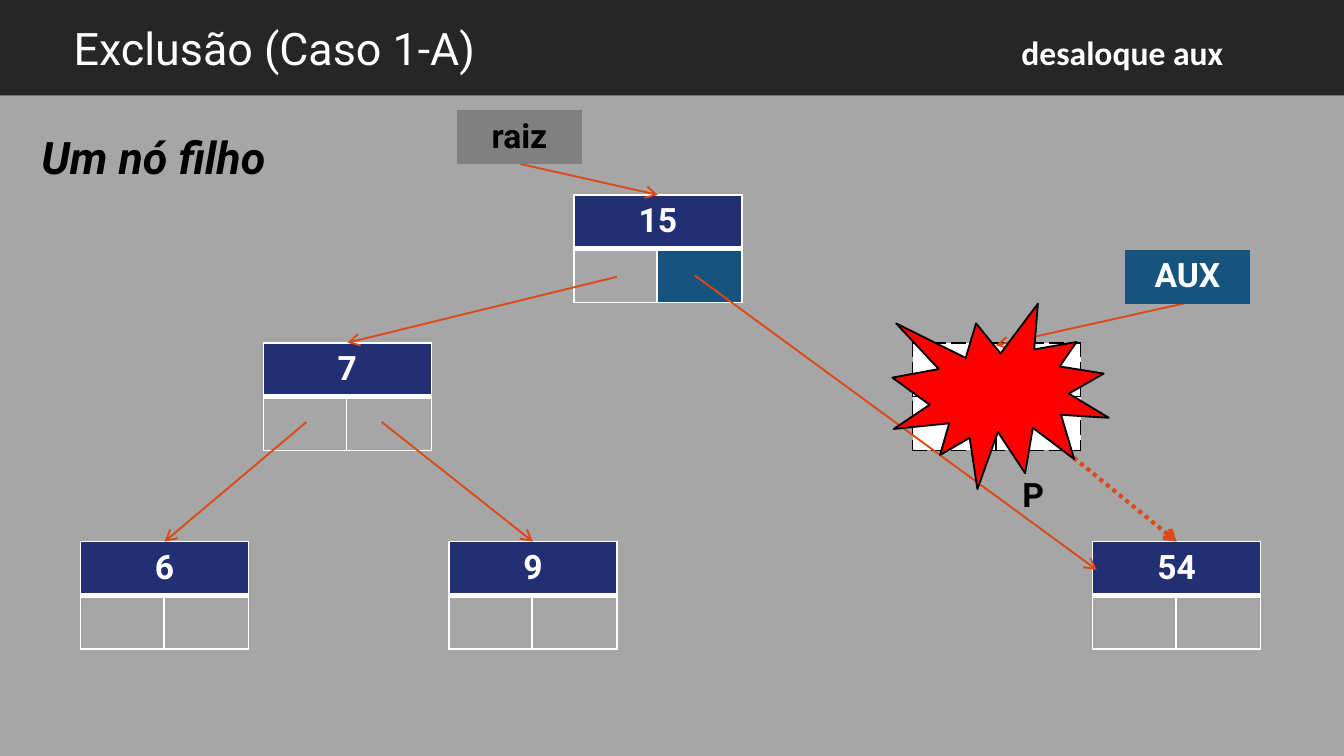
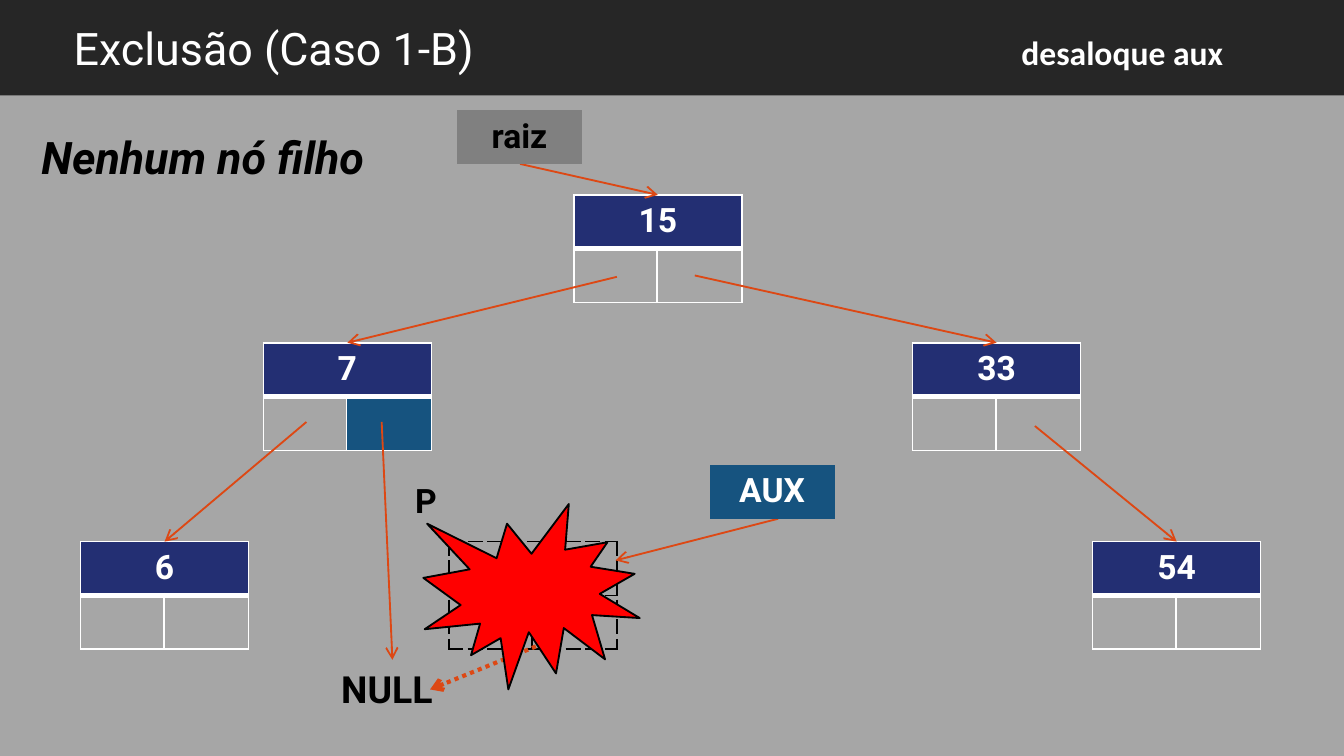
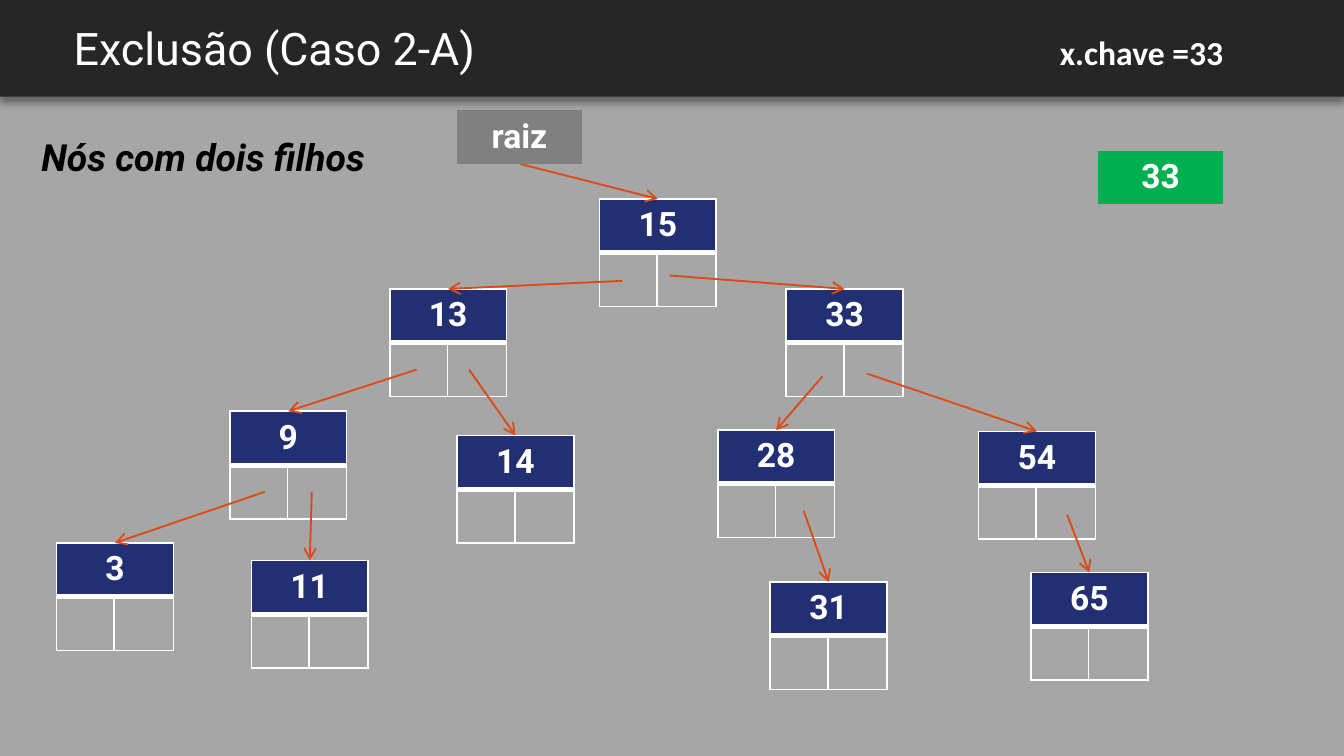
"""Builds three slides that show key removal from a binary search tree."""
from lxml.etree import SubElement
from pptx import Presentation
from pptx.dml.color import RGBColor
from pptx.enum.dml import MSO_LINE
from pptx.enum.shapes import MSO_CONNECTOR, MSO_SHAPE
from pptx.enum.text import MSO_ANCHOR, PP_ALIGN
from pptx.oxml.ns import qn
from pptx.util import Inches, Pt

WHITE = RGBColor(0xFF, 0xFF, 0xFF)
BLACK = RGBColor(0x00, 0x00, 0x00)
GRAY = RGBColor(0xA6, 0xA6, 0xA6)
ROOT_GRAY = RGBColor(0x80, 0x80, 0x80)
BAND = RGBColor(0x26, 0x26, 0x26)
NAVY = RGBColor(0x23, 0x2F, 0x73)
TEAL = RGBColor(0x16, 0x53, 0x7F)
GREEN = RGBColor(0x00, 0xB0, 0x50)
RED = RGBColor(0xFF, 0x00, 0x00)
ORANGE = RGBColor(0xDD, 0x48, 0x14)
RUST = RGBColor(0xDB, 0x4B, 0x18)

FONT = "Roboto"
ROW_HEIGHT = 0.4
LABEL_WIDTH = 0.93
NO_TABLE_STYLE = "{2D5ABB26-0587-4C30-8999-92F81FD0307C}"

SMALL_TREE = {
    "15": (4.27, 1.45), "7": (1.96, 2.55), "33": (6.79, 2.55),
    "6": (0.6, 4.03), "9": (3.34, 4.03), "54": (8.13, 4.03),
}
LARGE_TREE = {
    "15": (4.46, 1.48), "13": (2.9, 2.15), "33": (5.85, 2.15),
    "9": (1.71, 3.06), "14": (3.4, 3.24), "28": (5.34, 3.2), "54": (7.28, 3.21),
    "3": (0.42, 4.04), "11": (1.87, 4.17), "31": (5.73, 4.33), "65": (7.67, 4.26),
}
ROOT_ARROW = ((3.87, 1.22), "15")
SMALL_ARROWS = [ROOT_ARROW, ((4.59, 2.06), "7"), ((2.28, 3.14), "6")]

SLIDES = [
    {
        "title": "Exclusão (Caso 1-A)", "step": "desaloque aux",
        "case": "Um nó filho", "case_size": 24, "band": (0, 0.71, False),
        "tree": SMALL_TREE, "node_width": 1.25, "arrow_color": ORANGE,
        "removed": "33", "removed_fill": WHITE, "changed_link": ("15", 1),
        "arrows": SMALL_ARROWS + [((2.84, 3.14), "9"), ((5.17, 2.05), (8.16, 4.24)),
                                  ((8.89, 2.24), (7.41, 2.57))],
        "old_arrows": [((7.7, 3.17), "54")],
        "labels": [("raiz", (3.4, 0.82), ROOT_GRAY, BLACK), ("AUX", (8.37, 1.86), TEAL, WHITE)],
        "notes": [("P", (7.51, 3.48, 0.36, 0.4), 18)],
        "burst": (6.64, 2.26),
    },
    {
        "title": "Exclusão (Caso 1-B)", "step": "desaloque aux",
        "case": "Nenhum nó filho", "case_size": 24, "band": (0, 0.71, False),
        "tree": SMALL_TREE, "node_width": 1.25, "arrow_color": ORANGE,
        "removed": "9", "removed_fill": None, "changed_link": ("7", 1),
        "arrows": SMALL_ARROWS + [((2.84, 3.14), (2.92, 4.91)), ((7.7, 3.17), "54"),
                                  ((5.17, 2.05), "33"), ((5.79, 3.86), (4.58, 4.17))],
        "old_arrows": [((4.16, 4.74), (3.2, 5.13))],
        "labels": [("raiz", (3.4, 0.82), ROOT_GRAY, BLACK), ("AUX", (5.28, 3.46), TEAL, WHITE)],
        "notes": [("P", (2.99, 3.52, 0.36, 0.4), 18), ("NULL", (2.44, 4.91, 0.95, 0.44), 20)],
        "burst": (3.15, 3.75),
    },
    {
        "title": "Exclusão (Caso 2-A)", "step": "x.chave =33",
        "case": "Nós com dois filhos", "case_size": 20, "band": (-0.04, 0.76, True),
        "tree": LARGE_TREE, "node_width": 0.87, "arrow_color": RUST,
        "arrows": [ROOT_ARROW, ((4.63, 2.09), "13"), ((4.98, 2.05), "33"),
                   ((3.1, 2.75), "9"), ((3.49, 2.75), "14"),
                   ((6.12, 2.8), "28"), ((6.45, 2.78), "54"),
                   ((1.97, 3.66), "3"), ((2.32, 3.66), "11"),
                   ((5.98, 3.8), "31"), ((7.94, 3.83), "65")],
        "labels": [("raiz", (3.4, 0.82), ROOT_GRAY, WHITE), ("33", (8.17, 1.12), GREEN, WHITE)],
    },
]


def inches(*lengths):
    return [Inches(length) for length in lengths]


def write(frame, text, size, color, font=FONT, bold=True, italic=False, align=PP_ALIGN.LEFT):
    frame.text = text
    para = frame.paragraphs[0]
    para.alignment = align
    for span in para.runs:
        span.font.name = font
        span.font.size = Pt(size)
        span.font.bold = bold
        span.font.italic = italic
        span.font.color.rgb = color


def add_text(page, place, text, size, color, **style):
    box = page.shapes.add_textbox(*inches(*place))
    box.text_frame.word_wrap = True
    write(box.text_frame, text, size, color, **style)
    return box.text_frame


def add_heading(page, place, text, size, color, **style):
    frame = add_text(page, place, text, size, color, **style)
    frame.vertical_anchor = MSO_ANCHOR.MIDDLE
    frame.margin_top = frame.margin_bottom = Inches(0.1)


def add_shape(page, kind, place, fill):
    shape = page.shapes.add_shape(kind, *inches(*place))
    shape.shadow.inherit = False
    shape.fill.solid()
    shape.fill.fore_color.rgb = fill
    shape.line.fill.background()
    return shape


def add_band(page, top, height, shaded):
    band = add_shape(page, MSO_SHAPE.RECTANGLE, (0, top, 10, height), BAND)
    if shaded:
        effects = band._element.spPr.find(qn("a:effectLst"))
        shadow = SubElement(effects, qn("a:outerShdw"), blurRad=str(Pt(4)), dist=str(Pt(3)),
                            dir="5400000", algn="t", rotWithShape="0")
        color = SubElement(shadow, qn("a:srgbClr"), val=str(BLACK))
        SubElement(color, qn("a:alpha"), val="40000")


def add_table(page, rows, position, widths):
    place = (*position, sum(widths), rows * ROW_HEIGHT)
    table = page.shapes.add_table(rows, len(widths), *inches(*place)).table
    table.first_row = table.horz_banding = False
    table._tbl.tblPr.find(qn("a:tableStyleId")).text = NO_TABLE_STYLE
    for column, width in zip(table.columns, widths):
        column.width = Inches(width)
    return table


def set_borders(cell, color, dash, top=1, bottom=1):
    properties = cell._tc.get_or_add_tcPr()
    for side, width in (("L", 1), ("R", 1), ("T", top), ("B", bottom)):
        line = SubElement(properties, qn("a:ln" + side), w=str(Pt(width)))
        SubElement(SubElement(line, qn("a:solidFill")), qn("a:srgbClr"), val=str(color))
        SubElement(line, qn("a:prstDash"), val=dash)


def set_fill(cell, color):
    if color is None:
        cell.fill.background()
    else:
        cell.fill.solid()
        cell.fill.fore_color.rgb = color


def add_node(page, key, position, width, removed, removed_fill, changed_link):
    left_link = round(width / 2 - 0.005, 2)
    table = add_table(page, 2, position, (left_link, width - left_link))
    for row in range(2):
        for column in range(2):
            cell = table.cell(row, column)
            if removed:
                set_borders(cell, BLACK, "sysDash")
                set_fill(cell, removed_fill)
                continue
            divider = {"top": 3} if row else {"bottom": 3}
            set_borders(cell, WHITE, "solid", **divider)
            link_fill = TEAL if (key, column) == changed_link else GRAY
            set_fill(cell, link_fill if row else NAVY)
    table.cell(0, 0).merge(table.cell(0, 1))
    if not removed or removed_fill is not None:
        write(table.cell(0, 0).text_frame, key, 18, WHITE, align=PP_ALIGN.CENTER)


def add_label(page, text, position, fill, color):
    cell = add_table(page, 1, position, [LABEL_WIDTH]).cell(0, 0)
    set_fill(cell, fill)
    write(cell.text_frame, text, 18, color, align=PP_ALIGN.CENTER)


def add_arrow(page, start, end, color, dotted=False):
    arrow = page.shapes.add_connector(MSO_CONNECTOR.STRAIGHT, *inches(*start, *end))
    arrow.line.color.rgb = color
    arrow.line.width = Pt(2.25 if dotted else 1)
    if dotted:
        arrow.line.dash_style = MSO_LINE.ROUND_DOT
    SubElement(arrow.line._get_or_add_ln(), qn("a:tailEnd"), type="arrow")
    SubElement(arrow._element.spPr, qn("a:effectLst"))


def add_burst(page, position):
    burst = add_shape(page, MSO_SHAPE.EXPLOSION1, (*position, 1.61, 1.38), RED)
    burst.line.color.rgb = BLACK
    burst.line.width = Pt(1)


def build_slide(deck, content):
    page = deck.slides.add_slide(deck.slide_layouts[6])
    page.background.fill.solid()
    page.background.fill.fore_color.rgb = GRAY
    add_band(page, *content["band"])
    add_heading(page, (0.45, 0, 9.05, 0.71), content["title"], 24, WHITE, bold=False)
    add_heading(page, (0.21, 0.81, 3, 0.71), content["case"], content["case_size"], BLACK,
                italic=True)

    tree, width = content["tree"], content["node_width"]
    for key, position in tree.items():
        add_node(page, key, position, width, key == content.get("removed"),
                 content.get("removed_fill"), content.get("changed_link"))
    for group in ("arrows", "old_arrows"):
        for start, target in content.get(group, []):
            if target in tree:
                left, top = tree[target]
                target = (left + width / 2, top)
            add_arrow(page, start, target, content["arrow_color"], group == "old_arrows")
    for label in content["labels"]:
        add_label(page, *label)
    for text, place, size in content.get("notes", []):
        add_text(page, place, text, size, BLACK)
    if "burst" in content:
        add_burst(page, content["burst"])
    add_text(page, (5.51, 0.19, 3.69, 0.4), content["step"], 18, WHITE,
             font="Calibri", align=PP_ALIGN.RIGHT)


def main():
    deck = Presentation()
    deck.slide_width, deck.slide_height = inches(10, 5.625)
    for content in SLIDES:
        build_slide(deck, content)
    deck.save("out.pptx")


if __name__ == "__main__":
    main()
